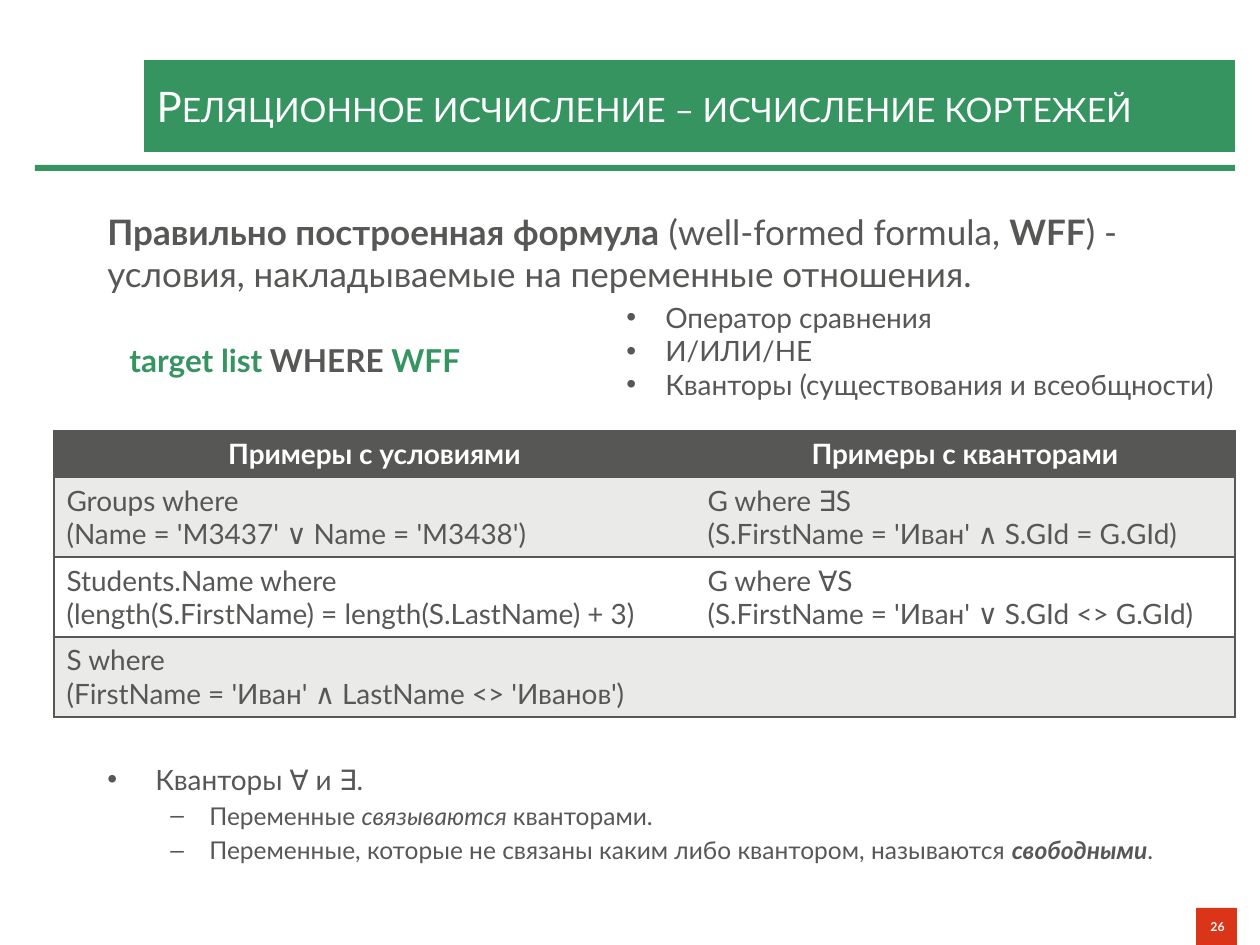
from dataclasses import dataclass

from lxml import etree
from pptx import Presentation
from pptx.dml.color import RGBColor
from pptx.enum.shapes import MSO_SHAPE
from pptx.enum.text import MSO_ANCHOR, MSO_AUTO_SIZE, PP_ALIGN
from pptx.oxml.ns import qn
from pptx.util import Emu, Pt

RECTANGLE = MSO_SHAPE.RECTANGLE
MIDDLE = MSO_ANCHOR.MIDDLE
NO_AUTOFIT = MSO_AUTO_SIZE.NONE
LEFT, CENTER, RIGHT = PP_ALIGN.LEFT, PP_ALIGN.CENTER, PP_ALIGN.RIGHT
TITLE_ONLY = 5


@dataclass(frozen=True)
class Theme:
    font: str = "Lato"
    green: str = "369461"
    red: str = "DB3519"
    dark: str = "575756"
    band: str = "EAEAE9"
    white: str = "FFFFFF"
    title: int = 24
    lead: int = 20
    formula: int = 18
    body: int = 16
    detail: int = 14
    number: int = 7


THEME = Theme()

EXAMPLES = [
    ("Примеры с условиями", "Примеры с кванторами"),
    ("Groups where\n(Name = 'M3437' ∨ Name = 'M3438')",
     "G where ∃S\n(S.FirstName = 'Иван' ∧ S.GId = G.GId)"),
    ("Students.Name where\n(length(S.FirstName) = length(S.LastName) + 3)",
     "G where ∀S\n(S.FirstName = 'Иван' ∨ S.GId <> G.GId)"),
    ("S where\n(FirstName = 'Иван' ∧ LastName <> 'Иванов')", ""),
]
CONDITIONS = ["Оператор сравнения", "И/ИЛИ/НЕ",
              "Кванторы (существования и всеобщности)"]


def px(length):
    return Emu(round(length * 914400 / 126))


def box(left, top, width, height):
    return px(left), px(top), px(width), px(height)


def rgb(color):
    return RGBColor.from_string(color)


def paint(shape, color):
    shape.fill.solid()
    shape.fill.fore_color.rgb = rgb(color)
    shape.line.fill.background()


def add_bar(slide, bounds, color):
    bar = slide.shapes.add_shape(RECTANGLE, *box(*bounds))
    bar.shadow.inherit = False
    paint(bar, color)
    return bar


def add_run(paragraph, text, size, color=THEME.dark, bold=False, italic=False):
    run = paragraph.add_run()
    run.text = text
    font = run.font
    font.name, font.size, font.bold, font.italic = THEME.font, Pt(size), bold, italic
    font.color.rgb = rgb(color)
    return run


def indent(paragraph, left, hanging=0, bullet=None):
    properties = paragraph._p.get_or_add_pPr()
    properties.set("marL", str(px(left)))
    properties.set("indent", str(-px(hanging)))
    if bullet:
        etree.SubElement(properties, qn("a:buFont"), typeface="Arial")
        etree.SubElement(properties, qn("a:buChar"), char=bullet)


def add_text_frame(slide, bounds):
    frame = slide.shapes.add_textbox(*box(*bounds)).text_frame
    frame.word_wrap = True
    return frame


def next_paragraph(frame):
    """Reuse the empty first paragraph, then append new ones."""
    first = frame.paragraphs[0]
    return frame.add_paragraph() if first.runs else first


def add_title(slide, text):
    title = slide.shapes.title
    title.left, title.top, title.width, title.height = box(144, 60, 1091, 92)
    paint(title, THEME.green)
    frame = title.text_frame
    frame.auto_size, frame.vertical_anchor = NO_AUTOFIT, MIDDLE
    frame.word_wrap = True
    frame.margin_top = frame.margin_bottom = px(15)
    paragraph = frame.paragraphs[0]
    paragraph.alignment = LEFT
    run = add_run(paragraph, text, THEME.title, THEME.white)
    run.font._element.set("cap", "small")


def add_definition(slide):
    paragraph = add_text_frame(slide, (95, 204, 1081, 129)).paragraphs[0]
    add_run(paragraph, "Правильно построенная формула", THEME.lead, bold=True)
    add_run(paragraph, " (well-formed formula, ", THEME.lead)
    add_run(paragraph, "WFF", THEME.lead, bold=True)
    add_run(paragraph, ") - условия, накладываемые на переменные отношения.", THEME.lead)


def add_formula(slide):
    paragraph = add_text_frame(slide, (54, 335, 630, 50)).paragraphs[0]
    indent(paragraph, 63)
    for text, color in (("target list", THEME.green), (" WHERE ", THEME.dark),
                        ("WFF", THEME.green)):
        add_run(paragraph, text, THEME.formula, color, bold=True)


def add_conditions(slide):
    frame = add_text_frame(slide, (551, 294, 685, 115))
    for condition in CONDITIONS:
        paragraph = next_paragraph(frame)
        indent(paragraph, 102, 39, "•")
        add_run(paragraph, condition, THEME.body)


def set_borders(cell, visible_sides):
    properties = cell._tc.get_or_add_tcPr()
    for side in "LRTB":
        line = etree.SubElement(properties, qn(f"a:ln{side}"), w=str(Pt(1)))
        if side in visible_sides:
            fill = etree.SubElement(line, qn("a:solidFill"))
            etree.SubElement(fill, qn("a:srgbClr"), val=THEME.dark)
        else:
            etree.SubElement(line, qn("a:noFill"))


def fill_cell(cell, text, color, is_header):
    cell.fill.solid()
    cell.fill.fore_color.rgb = rgb(color)
    for line in text.splitlines():
        paragraph = next_paragraph(cell.text_frame)
        paragraph.alignment = CENTER if is_header else LEFT
        add_run(paragraph, line, THEME.body,
                THEME.white if is_header else THEME.dark, bold=is_header)


def add_examples(slide):
    table = slide.shapes.add_table(len(EXAMPLES), 2, *box(54, 431, 1181, 286)).table
    for column, width in zip(table.columns, (641, 540)):
        column.width = px(width)
    for index, texts in enumerate(EXAMPLES):
        is_header = index == 0
        table.rows[index].height = px(46 if is_header else 80)
        band = THEME.band if index % 2 else THEME.white
        for column, (text, sides) in enumerate(zip(texts, ("LTB", "RTB"))):
            cell = table.cell(index, column)
            set_borders(cell, sides)
            fill_cell(cell, text, THEME.dark if is_header else band, is_header)


def add_quantifiers(slide):
    frame = add_text_frame(slide, (95, 756, 1081, 129))
    heading = next_paragraph(frame)
    indent(heading, 48, 48, "•")
    add_run(heading, "Кванторы ∀ и ∃.", THEME.body)
    details = [
        ("Переменные ", "связываются ", "кванторами.", False),
        ("Переменные, которые не связаны каким либо квантором, называются ",
         "свободными", ".", True),
    ]
    for before, term, after, bold in details:
        paragraph = next_paragraph(frame)
        paragraph.level = 1
        indent(paragraph, 102, 39, "–")
        paragraph.space_before = Pt(0.2 * THEME.detail)
        add_run(paragraph, before, THEME.detail)
        add_run(paragraph, term, THEME.detail, bold=bold, italic=True)
        add_run(paragraph, after, THEME.detail)


def add_page_number(slide, number):
    frame = add_bar(slide, (1196, 908, 41, 37), THEME.red).text_frame
    frame.vertical_anchor = MIDDLE
    paragraph = frame.paragraphs[0]
    paragraph.alignment = RIGHT
    add_run(paragraph, number, THEME.number, THEME.white, bold=True)


def main():
    presentation = Presentation()
    presentation.slide_width, presentation.slide_height = px(1260), px(945)
    slide = presentation.slides.add_slide(presentation.slide_layouts[TITLE_ONLY])
    add_bar(slide, (35, 165, 1200, 6), THEME.green)
    add_title(slide, "Реляционное исчисление – исчисление кортежей")
    add_definition(slide)
    add_page_number(slide, "26")
    add_quantifiers(slide)
    add_examples(slide)
    add_conditions(slide)
    add_formula(slide)
    presentation.save("out.pptx")


if __name__ == "__main__":
    main()
